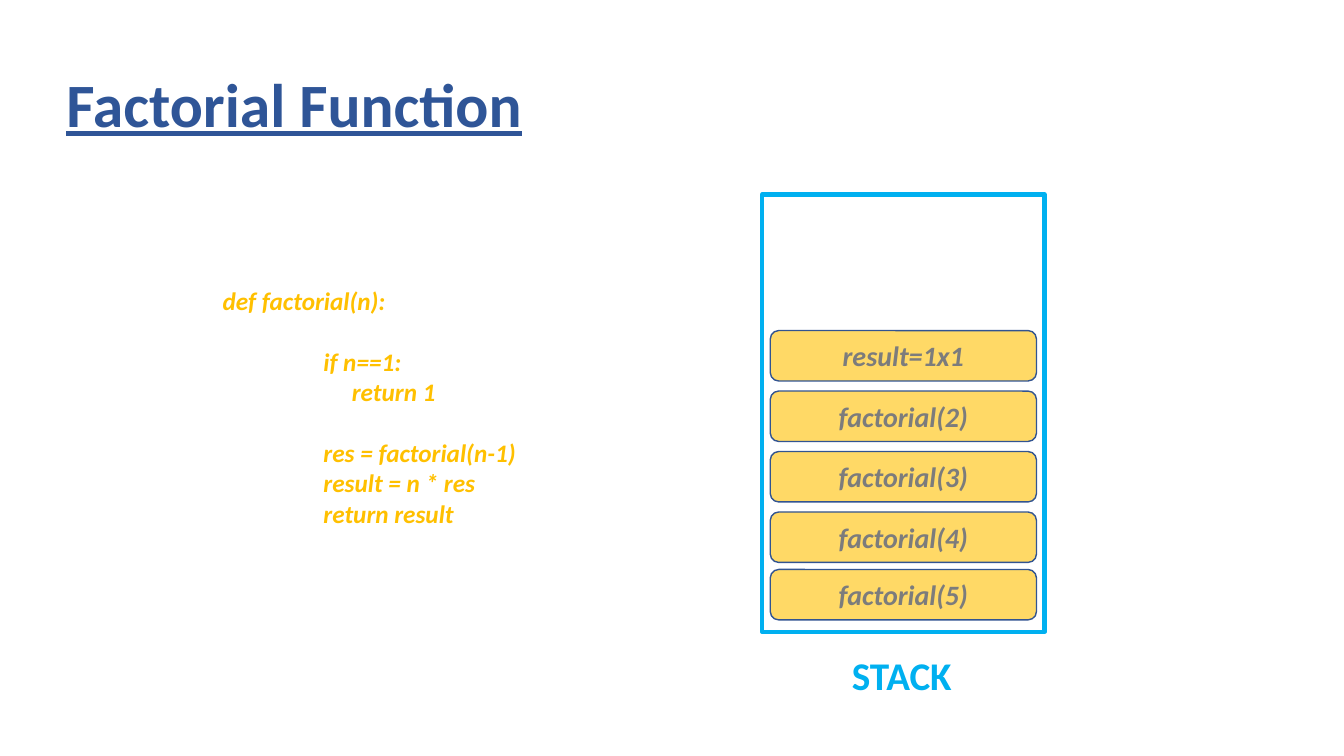
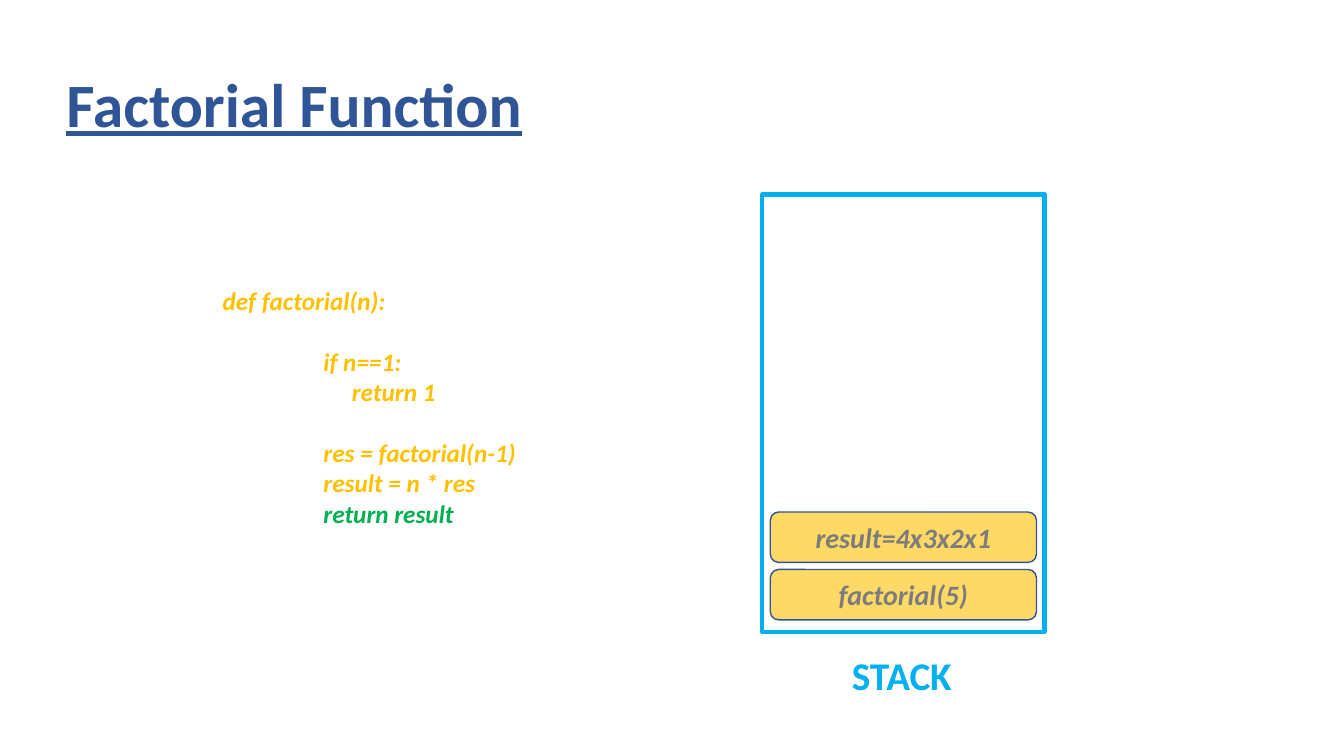
from pptx import Presentation
from pptx.dml.color import RGBColor
from pptx.enum.shapes import MSO_SHAPE as Shape
from pptx.enum.text import MSO_ANCHOR as Anchor, PP_ALIGN as Align
from pptx.oxml.ns import qn
from pptx.util import Pt
from lxml.etree import SubElement

PX = 9144
FONT = "Calibri"
COLORS = {
    "title": "2F5597",
    "stack": "00B0F0",
    "code": "FFC000",
    "active": "00B050",
    "card": "FFD966",
    "card_line": "325491",
    "card_text": "7C7C7C",
}
CODE = [
    ("def factorial(n):", 0),
    ("\tif n==1:", 22),
    ("\t     return 1", 0),
    ("\tres = factorial(n-1)", 22),
    ("\tresult = n * res", 0),
    ("\treturn result", 0),
]
STEPS = [
    (["factorial(5)", "factorial(4)", "factorial(3)", "factorial(2)", "result=1x1"], None),
    (["factorial(5)", "result=4x3x2x1"], "\treturn result"),
]


def rgb(name):
    """Return the named colour."""
    return RGBColor.from_string(COLORS[name])


def px(*lengths):
    """Turn px lengths into EMU."""
    return [length * PX for length in lengths]


def write(para, text, size, color, italic=False, underline=False, align=Align.LEFT):
    """Fill a paragraph with one bold run in the given format."""
    para.alignment = align
    span = para.add_run()
    span.text = text
    font = span.font
    font.name, font.size, font.bold = FONT, Pt(size), True
    font.italic, font.underline = italic, underline
    font.color.rgb = rgb(color)


def add_text_frame(page, left, top, width, height, anchor=Anchor.TOP):
    """Add a wrapping text box and return its text frame."""
    frame = page.shapes.add_textbox(*px(left, top, width, height)).text_frame
    frame.word_wrap = True
    frame.vertical_anchor = anchor
    return frame


def add_panel(page, kind, left, top, width, height, line, weight, fill=None):
    """Add an outlined shape, filled if a fill colour is named."""
    panel = page.shapes.add_shape(kind, *px(left, top, width, height))
    panel.shadow.inherit = False
    panel.line.color.rgb = rgb(line)
    panel.line.width = Pt(weight)
    if fill:
        panel.fill.solid()
        panel.fill.fore_color.rgb = rgb(fill)
    else:
        panel.fill.background()
    return panel


def add_title(page, text, left, top, width, height):
    """Add the underlined slide title."""
    para = add_text_frame(page, left, top, width, height, Anchor.MIDDLE).paragraphs[0]
    para.line_spacing = 0.9
    write(para, text, 44, "title", underline=True)


def add_code(page, active, left, top, width, height):
    """Add the code listing with the active line highlighted."""
    frame = add_text_frame(page, left, top, width, height)
    for index, (line, gap) in enumerate(CODE):
        para = frame.add_paragraph() if index else frame.paragraphs[0]
        tabs = SubElement(para._p.get_or_add_pPr(), qn("a:tabLst"))
        SubElement(tabs, qn("a:tab"), pos=str(100 * PX), algn="l")
        para.space_before = Pt(gap)
        write(para, line, 18, "active" if line == active else "code", italic=True)


def add_stack(page, calls, left, top, width, height):
    """Add the stack frame, its calls from the bottom up, and its label."""
    add_panel(page, Shape.RECTANGLE, left, top, width, height, "stack", 3)
    label = add_text_frame(page, left + 79, top + height + 14, 122, 57)
    write(label.paragraphs[0], "STACK", 28, "stack")
    base = top + height - 62
    for level, call in enumerate(calls):
        rise = 60 * level - 3 if level else 0
        card = add_panel(page, Shape.ROUNDED_RECTANGLE, left + 8, base - rise,
                         width - 16, 50, "card_line", 1, "card")
        card.text_frame.vertical_anchor = Anchor.MIDDLE
        write(card.text_frame.paragraphs[0], call, 20, "card_text",
              italic=True, align=Align.CENTER)


def add_step(deck, calls, active):
    """Add one slide showing a step of the recursion."""
    page = deck.slides.add_slide(deck.slide_layouts[6])
    add_stack(page, calls, 756, 193, 280, 434)
    add_code(page, active, 211, 278, 314, 252)
    add_title(page, "Factorial Function", 56, 34, 1150, 145)


def main():
    """Build and save the deck."""
    deck = Presentation()
    deck.slide_width, deck.slide_height = px(1333, 750)
    for calls, active in STEPS:
        add_step(deck, calls, active)
    deck.save("out.pptx")


if __name__ == "__main__":
    main()
